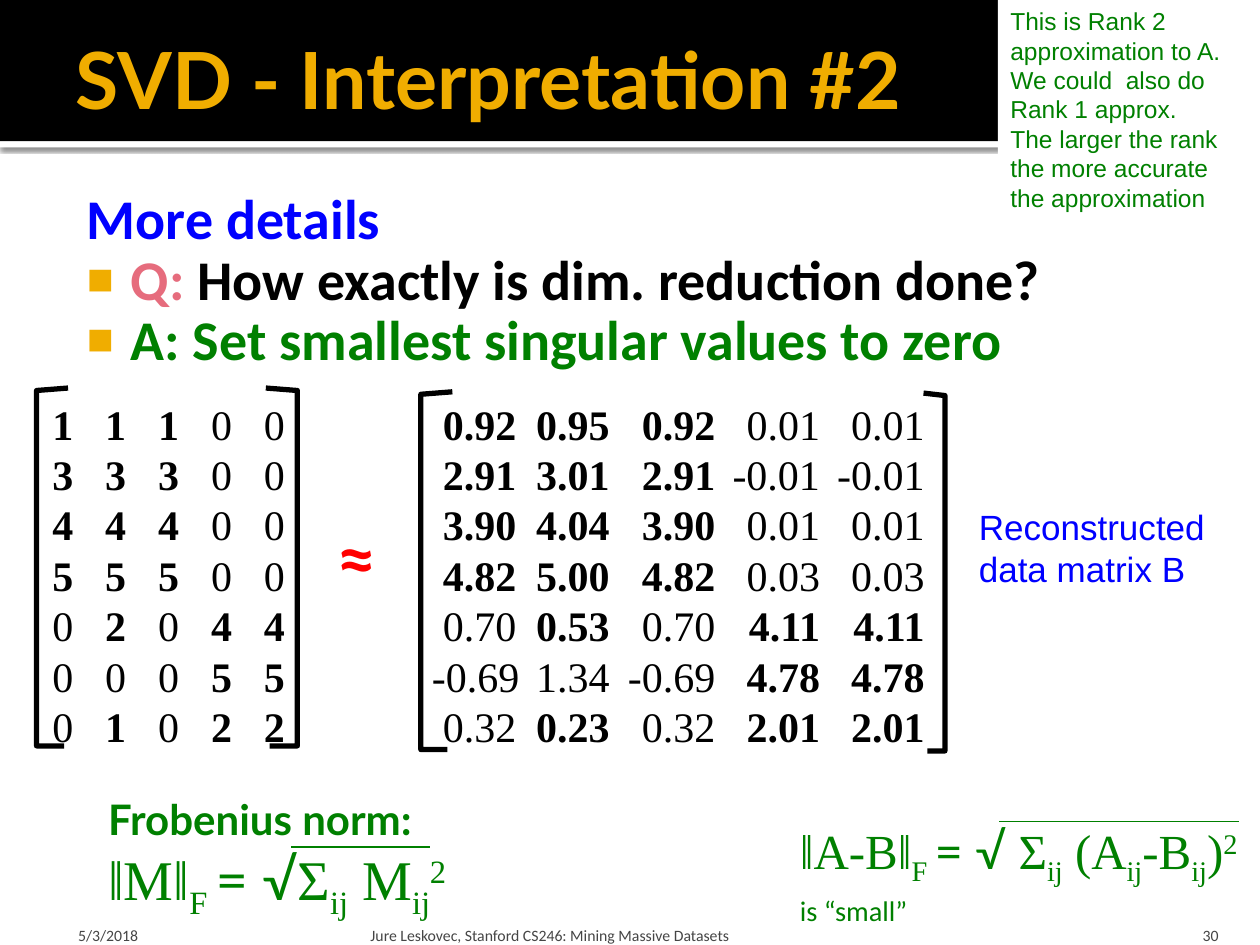
from lxml import etree
from pptx import Presentation
from pptx import util as u
from pptx.dml.color import RGBColor
from pptx.enum import shapes as es, text as et
from pptx.oxml import parse_xml
from pptx.oxml.ns import qn

NS = 'xmlns:a="http://schemas.openxmlformats.org/drawingml/2006/main"'
GREEN, BLUE, GOLD, GREY, BLACK = "008000", "0000FF", "F0AD00", "454545", "000000"
SERIF = "Times New Roman"
ALIGN, ANCHOR = et.PP_ALIGN, et.MSO_ANCHOR

prs = Presentation()
prs.slide_width, prs.slide_height = u.Inches(10), u.Inches(7.5)
slide = prs.slides.add_slide(prs.slide_layouts[5])
items = slide.shapes


def frame(shape, at, inset=(0.1, 0.05, 0.1, 0.05), anchor=ANCHOR.TOP, wrap=True):
    """Place a shape and prepare its text frame."""
    shape.left, shape.top, shape.width, shape.height = map(u.Inches, at)
    tf = shape.text_frame
    tf.margin_left, tf.margin_top, tf.margin_right, tf.margin_bottom = map(u.Inches, inset)
    tf.vertical_anchor, tf.word_wrap = anchor, wrap
    return tf


def add_run(para, text, size, font, color, bold=False, base=0):
    run = para.add_run()
    run.text = text
    run.font.size, run.font.name, run.font.bold = u.Pt(size), font, bold
    run.font.color.rgb = RGBColor.from_string(color)
    if base:
        run.font._element.set("baseline", str(base * 1000))


# Header bars
for top, high, color in ((1.12, 0.05, "FFFFFF"), (0, 1.12, BLACK)):
    bar = items.add_shape(es.MSO_SHAPE.RECTANGLE, 0, u.Inches(top), u.Inches(10), u.Inches(high))
    bar.fill.solid()
    bar.fill.fore_color.rgb = RGBColor.from_string(color)
    bar.line.fill.background()
    bar.shadow.inherit = False
    if top:
        glow = bar._element.spPr.find(qn("a:effectLst"))
        glow.append(parse_xml(
            f'<a:outerShdw {NS} blurRad="31750" dist="10160" dir="5400000">'
            '<a:srgbClr val="000000"><a:alpha val="60000"/></a:srgbClr></a:outerShdw>'))

# Title, in front of the bars
title = items.title
items._spTree.append(title._element)
tf = frame(title, (0.5, 0.08, 9, 1.08), (0.1, 0.05, 0.05, 0.05), ANCHOR.MIDDLE)
tf.paragraphs[0].alignment = ALIGN.LEFT
add_run(tf.paragraphs[0], "SVD - Interpretation #2", 45, "Lato", GOLD, True)

# Question and answer
body = (
    [("More details", BLUE)],
    [("Q:", "E66C7D"), (" How exactly is dim. reduction done?", BLACK)],
    [("A: Set smallest singular values to zero", GREEN)],
)
tf = frame(items.add_textbox(0, 0, 0, 0), (0.5, 1.42, 9, 5.75), (0.06, 0.1, 0.1, 0.05))
for i, runs in enumerate(body):
    para = tf.paragraphs[0] if i == 0 else tf.add_paragraph()
    para.line_spacing = 0.9
    props = para._p.get_or_add_pPr()
    props.set("marL", str(u.Inches(0.48)))
    props.set("indent", str(u.Inches(-0.35)))
    if i:
        for tag in (f'<a:buClr {NS}><a:srgbClr val="{GOLD}"/></a:buClr>',
                    f'<a:buSzPct {NS} val="80000"/>',
                    f'<a:buFont {NS} typeface="Arial"/>',
                    f'<a:buChar {NS} char="■"/>'):
            props.append(parse_xml(tag))
    for text, color in runs:
        add_run(para, text, 32, "Calibri", color, True)

# Footer
for at, text, left, align in (
        ((0.5, 7.2, 2.33, 0.3), "5/3/2018", 0.12, ALIGN.LEFT),
        ((2.89, 7.2, 6.02, 0.3), "Jure Leskovec, Stanford CS246: Mining Massive Datasets", 0.05, ALIGN.LEFT),
        ((8.97, 7.2, 0.8, 0.3), "30", 0.1, ALIGN.RIGHT)):
    tf = frame(items.add_textbox(0, 0, 0, 0), at, (left, 0.05, left, 0), ANCHOR.BOTTOM)
    tf.paragraphs[0].alignment = align
    add_run(tf.paragraphs[0], text, 9, "Calibri", GREY)

# Matrix brackets: top tip, spine, bottom tip, top edge
for tip, spine, foot, top in ((0.54, 0.29, 0.51, 3.08), (2.11, 2.36, 2.14, 3.08),
                              (3.59, 3.34, 3.55, 3.11), (7.33, 7.5, 7.36, 3.12)):
    pen = items.build_freeform(u.Inches(tip), u.Inches(top))
    pen.add_line_segments([(u.Inches(x), u.Inches(top + y)) for x, y in
                           ((spine, 0.02), (spine, 2.84), (foot, 2.84))], close=False)
    edge = pen.convert_to_shape()
    edge.fill.background()
    edge.line.color.rgb = RGBColor.from_string(BLACK)
    edge.line.width = u.Pt(3)
    edge.shadow.inherit = False

# Matrices: columns on tab stops, large entries in bold
BOLD = ("11100",) * 4 + ("01011", "00011", "01011")
DATA = ("1 1 1 0 0", "3 3 3 0 0", "4 4 4 0 0", "5 5 5 0 0",
        "0 2 0 4 4", "0 0 0 5 5", "0 1 0 2 2")
APPROX = ("0.92 0.95 0.92 0.01 0.01", "2.91 3.01 2.91 -0.01 -0.01",
          "3.90 4.04 3.90 0.01 0.01", "4.82 5.00 4.82 0.03 0.03",
          "0.70 0.53 0.70 4.11 4.11", "-0.69 1.34 -0.69 4.78 4.78",
          "0.32 0.23 0.32 2.01 2.01")
for at, rows, stops in (
        ((0.25, 3.08, 2.17, 2.93), DATA, [0.15 + 0.42 * i for i in range(5)]),
        ((3.33, 3.08, 4.75, 2.93), APPROX, [0.67, 1.41, 2.25, 3.08, 3.91])):
    tf = frame(items.add_textbox(0, 0, 0, 0), at, (0.1, 0.08, 0.1, 0.05))
    for i, (row, mask) in enumerate(zip(rows, BOLD)):
        para = tf.paragraphs[0] if i == 0 else tf.add_paragraph()
        para.line_spacing = u.Pt(28.8)
        tabs = etree.SubElement(para._p.get_or_add_pPr(), qn("a:tabLst"))
        for stop in stops:
            etree.SubElement(tabs, qn("a:tab"), pos=str(u.Inches(stop)),
                             algn="ctr" if rows is DATA else "r")
        for cell, heavy in zip(row.split(), mask):
            add_run(para, "\t" + cell, 24, SERIF, BLACK, heavy == "1")

tf = frame(items.add_textbox(0, 0, 0, 0), (2.57, 4.03, 0.51, 0.77), anchor=ANCHOR.MIDDLE, wrap=False)
add_run(tf.paragraphs[0], "≈", 40, "Lato", "FF0000", True)

# Norm formulas: text, font, baseline shift
norm = [("ǁMǁ", SERIF, 0), ("F ", SERIF, -25), ("= √", "Lato", 0), ("Σ", SERIF, 0),
        ("ij", SERIF, -25), (" M", SERIF, 0), ("ij", SERIF, -25), ("2", SERIF, 30)]
error = [("ǁA-Bǁ", SERIF, 0), ("F ", SERIF, -25), ("= √ ", "Lato", 0), ("Σ", SERIF, 0),
         ("ij", SERIF, -25), (" (A", SERIF, 0), ("ij", SERIF, -25), ("-B", SERIF, 0),
         ("ij", SERIF, -25), (")", SERIF, 0), ("2", SERIF, 30)]

tf = frame(items.add_textbox(0, 0, 0, 0), (0.76, 6.25, 2.91, 1.04), wrap=False)
add_run(tf.paragraphs[0], "Frobenius norm:", 24, "Lato", GREEN, True)
para = tf.add_paragraph()
for text, font, base in norm:
    add_run(para, text, 32, font, GREEN, base=base)

tf = frame(items.add_textbox(0, 0, 0, 0), (6.25, 6.46, 3.71, 1.04), wrap=False)
for text, font, base in error:
    add_run(tf.paragraphs[0], text, 28, font, GREEN, base=base)
add_run(tf.add_paragraph(), "is “small”", 28, "Calibri", GREEN, base=30)

# Root bars
for start, end, y in ((2.31, 3.41, 6.72), (7.93, 9.83, 6.52)):
    root = items.add_connector(es.MSO_CONNECTOR.STRAIGHT, *map(u.Inches, (start, y, end, y)))
    root.line.color.rgb = RGBColor.from_string(GREEN)
    root.line.width = u.Pt(1)
    etree.SubElement(root._element.spPr, qn("a:effectLst"))

# Side notes
note = items.add_shape(es.MSO_SHAPE.RECTANGLE, 0, 0, 0, 0)
note.fill.solid()
note.fill.fore_color.rgb = RGBColor.from_string("FFFFFF")
note.line.fill.background()
note.shadow.inherit = False
tf = frame(note, (7.92, 0, 2.08, 1.75))
for i, text in enumerate(("This is Rank 2 approximation to A. We could  also do Rank 1 approx.",
                          "The larger the rank the more accurate the approximation")):
    para = tf.paragraphs[0] if i == 0 else tf.add_paragraph()
    para.alignment = ALIGN.LEFT
    add_run(para, text, 14, "Arial", GREEN)

tf = frame(items.add_textbox(0, 0, 0, 0), (7.67, 3.96, 2.09, 0.77), wrap=False)
para = tf.paragraphs[0]
add_run(para, "Reconstructed ", 20, "Arial", BLUE)
para.add_line_break()
add_run(para, "data matrix B", 20, "Arial", BLUE)

prs.save("out.pptx")
